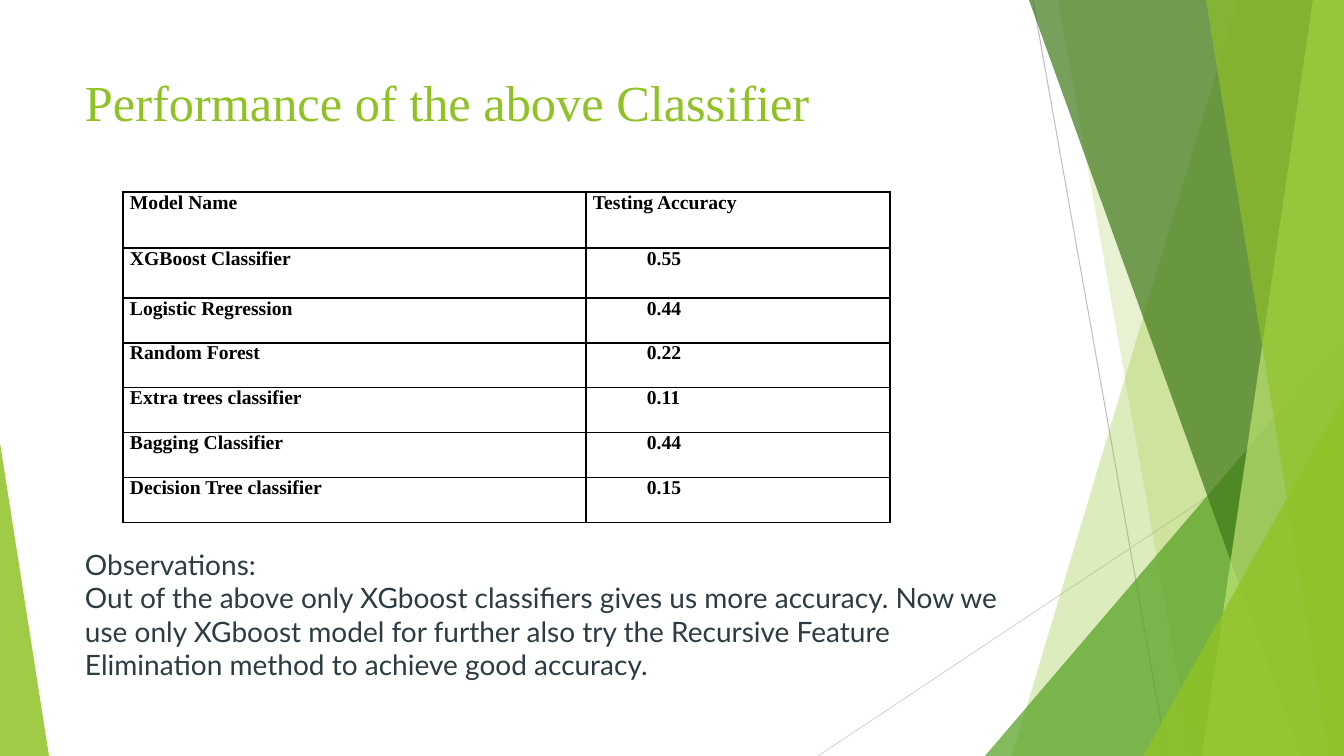
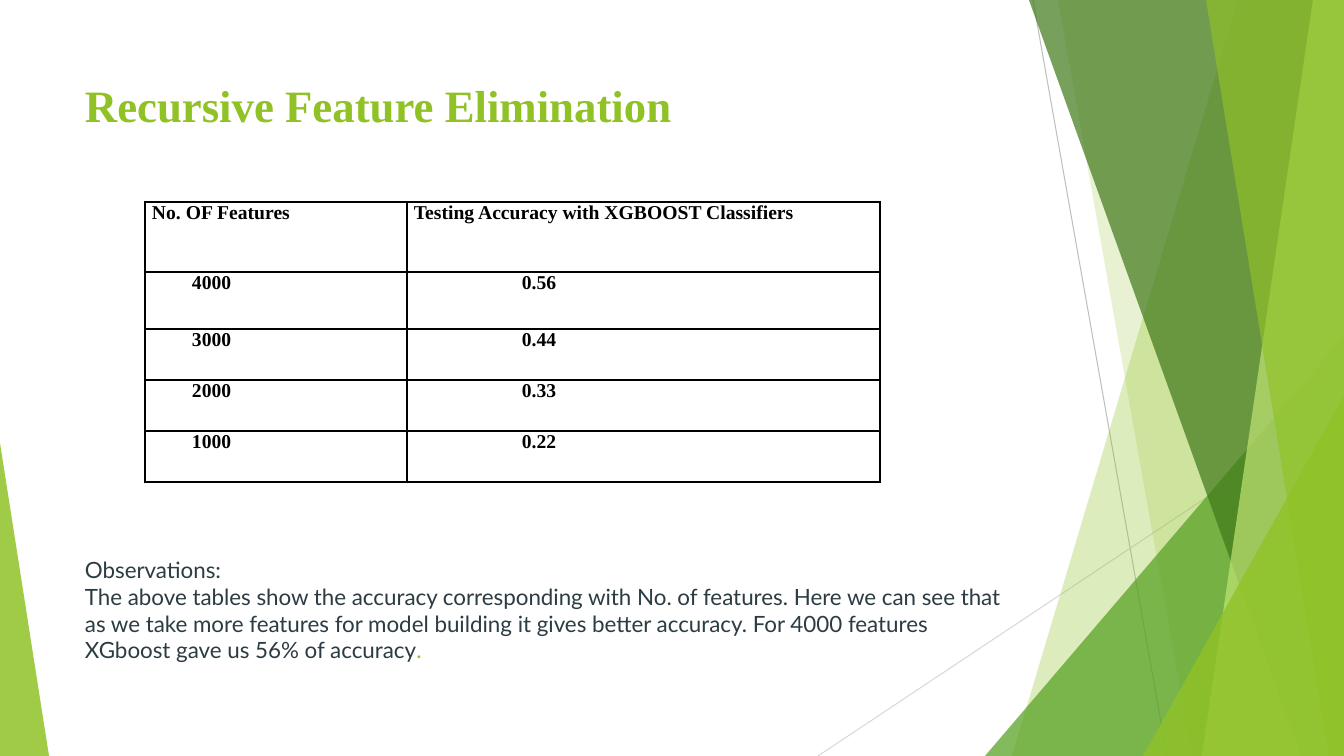
"""Build two slides that compare classifier accuracy and feature elimination."""
from lxml import etree
from pptx import Presentation
from pptx import util as u
from pptx.dml.color import RGBColor
from pptx.enum import shapes, text
from pptx.oxml import ns

WIDTH, HEIGHT = 1344, 756
SCALE = 12192000 / WIDTH
SERIF, SANS = "Times New Roman", "Lato"
GREEN, LEAF, FOREST, LIME = "90C226", "54A021", "3F7819", "C0E474"
SLATE, BLACK = "2C3C43", "000000"
TEXT_LEFT, TEXT_WIDTH = 85, 928
CELL_INSET = 7

RAYS = [
    ((1033, 0), (1167, HEIGHT), "BFBFBF"),
    ((WIDTH, 406), (818, HEIGHT), "D9D9D9"),
]
BACK_BANDS = [(1238, 1012, GREEN, 30), (1058, 1192, GREEN, 20)]
FRONT_BANDS = [(1029, 1301, FOREST, 70), (1313, 1202, LIME, 70), (1206, 1329, GREEN, 65)]
BACK_WEDGE = (985, 336, 359, 1, LEAF, 72)
FRONT_WEDGES = [(1143, 396, 201, 1, GREEN, 80), (0, 443, 49, 0, GREEN, 85)]


def px(pixels):
    """Turn pixels into EMU."""
    return u.Emu(round(pixels * SCALE))


def color(value):
    """Turn a hex string into a colour."""
    return RGBColor.from_string(value)


def paint(shape, fill, opacity):
    """Give a shape a translucent fill without outline or shadow."""
    shape.shadow.inherit = False
    shape.line.fill.background()
    shape.fill.solid()
    shape.fill.fore_color.rgb = color(fill)
    tone = shape.element.spPr.find(".//" + ns.qn("a:srgbClr"))
    etree.SubElement(tone, ns.qn("a:alpha"), val=str(opacity * 1000))


def add_ray(slide, start, end, stroke):
    """Draw a thin line across the slide."""
    ray = slide.shapes.add_connector(
        shapes.MSO_CONNECTOR.STRAIGHT, *map(px, start + end))
    ray.line.color.rgb = color(stroke)
    ray.line.width = u.Pt(0.75)
    etree.SubElement(ray.element.spPr, ns.qn("a:effectLst"))


def add_band(slide, top_x, bottom_x, fill, opacity):
    """Draw a full-height band from a slanted left edge to the right margin."""
    builder = slide.shapes.build_freeform(top_x, 0, scale=SCALE)
    builder.add_line_segments([(WIDTH, 0), (WIDTH, HEIGHT), (bottom_x, HEIGHT)])
    paint(builder.convert_to_shape(), fill, opacity)


def add_wedge(slide, left, top, width, apex, fill, opacity):
    """Draw a triangle that stands on the bottom edge."""
    wedge = slide.shapes.add_shape(
        shapes.MSO_SHAPE.ISOSCELES_TRIANGLE,
        px(left), px(top), px(width), px(HEIGHT - top))
    wedge.adjustments[0] = apex
    paint(wedge, fill, opacity)


def add_backdrop(slide):
    """Draw the shared rays, bands and wedges."""
    for ray in RAYS:
        add_ray(slide, *ray)
    for band in BACK_BANDS:
        add_band(slide, *band)
    add_wedge(slide, *BACK_WEDGE)
    for band in FRONT_BANDS:
        add_band(slide, *band)
    for wedge in FRONT_WEDGES:
        add_wedge(slide, *wedge)


def style_run(run, font, size, tone, bold=False):
    """Set the font of a run."""
    run.font.name = font
    run.font.size = u.Pt(size)
    run.font.bold = bold
    run.font.color.rgb = color(tone)


def add_text(slide, top, height, content, font, size, tone, bold=False):
    """Add a text box in the main column and return its frame."""
    box = slide.shapes.add_textbox(
        px(TEXT_LEFT), px(top), px(TEXT_WIDTH), px(height))
    frame = box.text_frame
    frame.word_wrap = True
    frame.vertical_anchor = text.MSO_ANCHOR.TOP
    frame.margin_left = frame.margin_right = 0
    frame.margin_top = frame.margin_bottom = 0
    frame.text = content
    for paragraph in frame.paragraphs:
        for run in paragraph.runs:
            style_run(run, font, size, tone, bold)
    return frame


def add_title(slide, top, content, size, bold=False):
    """Add the slide title."""
    add_text(slide, top, 58, content, SERIF, size, GREEN, bold)


def add_observations(slide, top, content, size):
    """Add the observations under the table and return their frame."""
    return add_text(slide, top, 136, "Observations:\n" + content, SANS, size, SLATE)


def border_cell(cell):
    """Put a thin black line on each side of a cell."""
    properties = cell._tc.get_or_add_tcPr()
    for position, side in enumerate(("lnL", "lnR", "lnT", "lnB")):
        line = etree.Element(ns.qn("a:" + side), w=str(u.Pt(1)))
        fill = etree.SubElement(line, ns.qn("a:solidFill"))
        etree.SubElement(fill, ns.qn("a:srgbClr"), val=BLACK)
        properties.insert(position, line)


def fill_cell(cell, content, inset, spacing):
    """Write bold text into a bordered cell."""
    cell.fill.background()
    border_cell(cell)
    cell.margin_left = px(inset)
    cell.margin_right = cell.margin_top = cell.margin_bottom = 0
    paragraph = cell.text_frame.paragraphs[0]
    paragraph.text = content
    paragraph.line_spacing = u.Pt(spacing)
    style_run(paragraph.runs[0], SERIF, 14, BLACK, True)


def add_accuracy_table(slide, left, top, widths, heights, insets, rows):
    """Add a table whose body columns start at the given insets."""
    table = slide.shapes.add_table(
        len(rows), len(widths), px(left), px(top),
        px(sum(widths)), px(sum(heights))).table
    table.first_row = table.horz_banding = False
    for column, width in zip(table.columns, widths):
        column.width = px(width)
    for index, (row, height) in enumerate(zip(rows, heights)):
        table.rows[index].height = px(height)
        spacing = 15.8 if index < 2 else 15.2
        for position, content in enumerate(row):
            inset = insets[position] if index else CELL_INSET
            fill_cell(table.cell(index, position), content, inset, spacing)


def build_performance(slide):
    """Compare the accuracy of the classifiers."""
    add_backdrop(slide)
    add_title(slide, 71, "Performance of the above Classifier", 36)
    add_observations(
        slide, 547,
        "Out of the above only XGboost classifiers gives us more accuracy. "
        "Now we use only XGboost model for further also try the Recursive "
        "Feature Elimination method to achieve good accuracy.", 20)
    add_accuracy_table(
        slide, 123, 192, [463, 304], [56, 50] + [45] * 5, [CELL_INSET, 61],
        [("Model Name", "Testing Accuracy"),
         ("XGBoost Classifier", "0.55"),
         ("Logistic Regression", "0.44"),
         ("Random Forest", "0.22"),
         ("Extra trees classifier", "0.11"),
         ("Bagging Classifier", "0.44"),
         ("Decision Tree classifier", "0.15")])


def build_elimination(slide):
    """Show the accuracy for each number of features."""
    add_backdrop(slide)
    add_title(slide, 78, "Recursive Feature Elimination", 32, True)
    observations = add_observations(
        slide, 556,
        "The above tables show the accuracy corresponding with No. of features. "
        "Here we can see that as we take more features for model building it "
        "gives better accuracy. For 4000 features XGboost gave us 56% of accuracy",
        16)
    full_stop = observations.paragraphs[-1].add_run()
    full_stop.text = "."
    style_run(full_stop, SANS, 16, GREEN)
    add_accuracy_table(
        slide, 145, 202, [262, 473], [70, 57] + [51] * 3, [47, 115],
        [("No. OF Features", "Testing Accuracy with XGBOOST Classifiers"),
         ("4000", "0.56"),
         ("3000", "0.44"),
         ("2000", "0.33"),
         ("1000", "0.22")])


def main():
    """Build and save the presentation."""
    presentation = Presentation()
    presentation.slide_width = px(WIDTH)
    presentation.slide_height = px(HEIGHT)
    blank = presentation.slide_layouts[6]
    for build in (build_performance, build_elimination):
        build(presentation.slides.add_slide(blank))
    presentation.save("out.pptx")


main()
